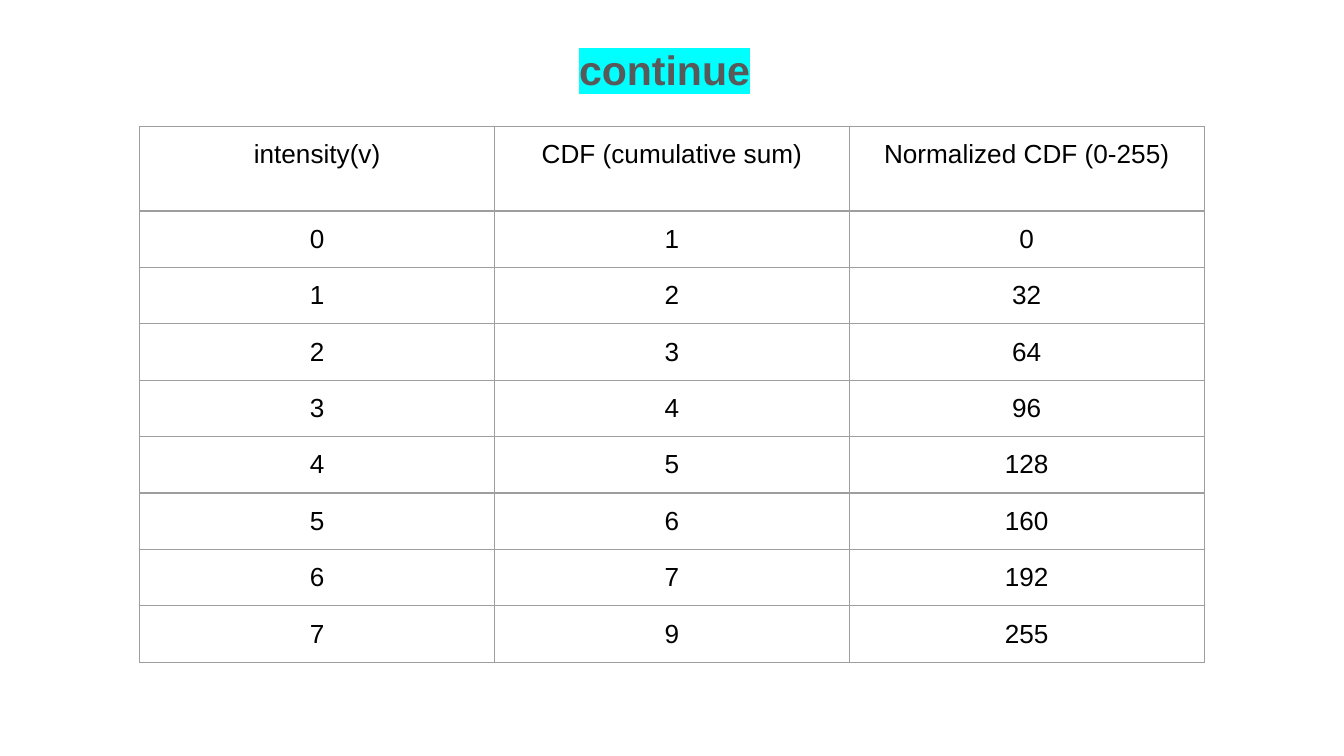
import dataclasses

import lxml.etree
import pptx
import pptx.dml.color
import pptx.enum.text
import pptx.oxml.ns
import pptx.util

Inches = pptx.util.Inches
Pt = pptx.util.Pt
CENTER = pptx.enum.text.PP_ALIGN.CENTER


@dataclasses.dataclass(frozen=True)
class Theme:
    font: str = "Arial"
    title_size: float = 22
    body_size: float = 14
    title_color: str = "595959"
    highlight: str = "00FFFF"
    body_color: str = "000000"
    background: str = "FFFFFF"
    border: str = "9E9E9E"
    border_width: float = 0.75
    inset: float = 0.1


THEME = Theme()
WIDTH = 10
HEIGHT = WIDTH * 9 / 16
HEADER_LINES = 2  # the header row keeps room for a second line
ROW_HEIGHT, LINE_HEIGHT = 0.42, 0.21

HEADERS = ("intensity(v)", "CDF (cumulative sum)", "Normalized CDF (0-255)")
CDF_ROWS = (
    (0, 1, 0),
    (1, 2, 32),
    (2, 3, 64),
    (3, 4, 96),
    (4, 5, 128),
    (5, 6, 160),
    (6, 7, 192),
    (7, 9, 255),
)


def rgb(color):
    return pptx.dml.color.RGBColor.from_string(color)


def add_span(para, text, size, color, bold=False):
    para.alignment = CENTER
    span = para.add_run()
    span.text = text
    span.font.name = THEME.font
    span.font.size = Pt(size)
    span.font.bold = bold
    span.font.color.rgb = rgb(color)
    return span


def add_solid_color(parent, color):
    lxml.etree.SubElement(parent, pptx.oxml.ns.qn("a:srgbClr"), val=color)


def highlight(span, color):
    fill = span.font.fill._xPr.find(pptx.oxml.ns.qn("a:solidFill"))
    marker = lxml.etree.Element(pptx.oxml.ns.qn("a:highlight"))
    add_solid_color(marker, color)
    fill.addnext(marker)


def set_borders(cell):
    properties = cell._tc.get_or_add_tcPr()
    for position, side in enumerate(("lnL", "lnR", "lnT", "lnB")):
        line = lxml.etree.Element(
            pptx.oxml.ns.qn(f"a:{side}"), w=str(Pt(THEME.border_width))
        )
        fill = lxml.etree.SubElement(line, pptx.oxml.ns.qn("a:solidFill"))
        add_solid_color(fill, THEME.border)
        properties.insert(position, line)


def place_title(page, text, left, top, width, height):
    box = page.shapes.title
    box.left, box.top = Inches(left), Inches(top)
    box.width, box.height = Inches(width), Inches(height)
    frame = box.text_frame
    frame.word_wrap = True
    frame.auto_size = pptx.enum.text.MSO_AUTO_SIZE.NONE
    frame.vertical_anchor = pptx.enum.text.MSO_ANCHOR.TOP
    frame.margin_left = frame.margin_right = Inches(THEME.inset)
    frame.margin_top = frame.margin_bottom = Inches(THEME.inset)
    span = add_span(
        frame.paragraphs[0], text, THEME.title_size, THEME.title_color, bold=True
    )
    highlight(span, THEME.highlight)


def fill_cell(cell, text):
    cell.margin_left = cell.margin_right = Inches(THEME.inset)
    cell.margin_top = cell.margin_bottom = Inches(THEME.inset)
    cell.vertical_anchor = pptx.enum.text.MSO_ANCHOR.TOP
    add_span(
        cell.text_frame.paragraphs[0], text, THEME.body_size, THEME.body_color
    )
    cell.fill.background()
    set_borders(cell)


def place_cdf_table(page, left, top, width):
    rows = (HEADERS, *CDF_ROWS)
    header_height = ROW_HEIGHT + (HEADER_LINES - 1) * LINE_HEIGHT
    height = header_height + len(CDF_ROWS) * ROW_HEIGHT
    table = page.shapes.add_table(
        len(rows), len(HEADERS),
        Inches(left), Inches(top), Inches(width), Inches(height),
    ).table
    table.first_row = table.horz_banding = False
    for column in table.columns:
        column.width = Inches(width / len(HEADERS))
    for index, values in enumerate(rows):
        table.rows[index].height = Inches(ROW_HEIGHT if index else header_height)
        for column, value in enumerate(values):
            fill_cell(table.cell(index, column), str(value))


def main():
    deck = pptx.Presentation()
    deck.slide_width, deck.slide_height = Inches(WIDTH), Inches(HEIGHT)
    page = deck.slides.add_slide(deck.slide_layouts.get_by_name("Title Only"))
    page.background.fill.solid()
    page.background.fill.fore_color.rgb = rgb(THEME.background)

    # Highlighted heading
    place_title(page, "continue", 1.11, 0.23, 7.67, 0.41)
    # Cumulative distribution by intensity
    place_cdf_table(page, 1.04, 0.94, 7.92)

    deck.save("out.pptx")


if __name__ == "__main__":
    main()
